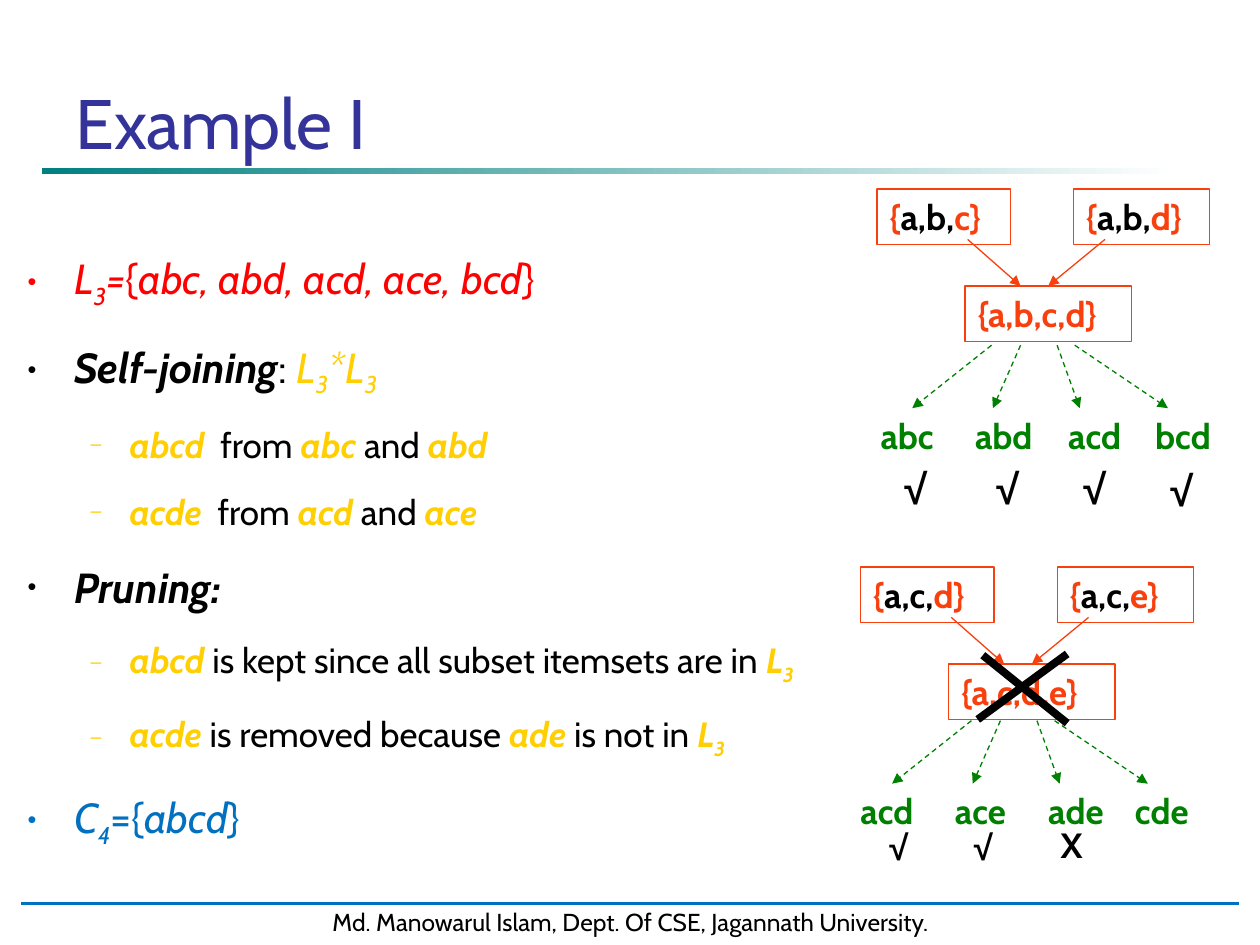
from lxml import etree
from pptx import Presentation
from pptx.dml.color import RGBColor
from pptx.enum.dml import MSO_LINE
from pptx.enum.shapes import MSO_CONNECTOR, MSO_SHAPE
from pptx.enum.text import MSO_ANCHOR, PP_ALIGN
from pptx.oxml.ns import qn
from pptx.util import Inches, Pt

RECT = MSO_SHAPE.RECTANGLE
STRAIGHT = MSO_CONNECTOR.STRAIGHT
DASH = MSO_LINE.DASH
CENTER = PP_ALIGN.CENTER
TOP = MSO_ANCHOR.TOP

BLACK = RGBColor(0x00, 0x00, 0x00)
WHITE = RGBColor(0xFF, 0xFF, 0xFF)
RED = RGBColor(0xFF, 0x00, 0x00)
GOLD = RGBColor(0xFF, 0xCF, 0x01)
BLUE = RGBColor(0x00, 0x70, 0xC0)
NAVY = RGBColor(0x33, 0x33, 0x99)
TEAL = RGBColor(0x00, 0x80, 0x80)
ORANGE = RGBColor(0xF8, 0x40, 0x0E)
GREEN = RGBColor(0x00, 0x80, 0x00)
FONT = "Cabin"

TITLE = "Example I"
FOOTER = "Md. Manowarul Islam, Dept. Of CSE, Jagannath University."

# (level, bullet colour, runs); a run is text, colour, flags: b bold, i italic, s subscript
BODY = [
    (0, RED, [("L", RED, "i"), ("3", RED, "is"), ("=", RED, "i"), ("{", RED, ""),
              ("abc, abd, acd, ace, bcd", RED, "i"), ("}", RED, "")]),
    (0, BLACK, [("Self-joining", BLACK, "bi"), (": ", BLACK, ""), ("L", GOLD, "i"),
                ("3", GOLD, "is"), ("*L", GOLD, "i"), ("3", GOLD, "is")]),
    (1, GOLD, [("abcd  ", GOLD, "bi"), ("from ", BLACK, ""), ("abc ", GOLD, "bi"),
               ("and ", BLACK, ""), ("abd", GOLD, "bi")]),
    (1, GOLD, [("acde", GOLD, "bi"), ("  from ", BLACK, ""), ("acd", GOLD, "bi"),
               (" and ", BLACK, ""), ("ace", GOLD, "bi")]),
    (0, BLACK, [("Pruning:", BLACK, "bi")]),
    (1, GOLD, [("abcd ", GOLD, "bi"), ("is kept since all subset itemsets are in ", BLACK, ""),
               ("L", GOLD, "bi"), ("3", GOLD, "bis")]),
    (1, GOLD, [("acde", GOLD, "bi"), (" is removed because ", BLACK, ""), ("ade", GOLD, "bi"),
               (" is not in ", BLACK, ""), ("L", GOLD, "bi"), ("3", GOLD, "bis")]),
    (0, BLUE, [("C", BLUE, "i"), ("4", BLUE, "is"), ("={", BLUE, ""),
               ("abcd", BLUE, "i"), ("}", BLUE, "")]),
]
# per level: size, space before, left margin, first-line indent, bullet, bullet size %
LEVELS = [(24, 8, 0.37, -0.37, "•", 60), (20, 7, 0.81, -0.31, "–", 55)]

# Joins are placed from (x, y); subsets from (leaf_x, leaf_y)
TREES = [
    dict(x=6.96, y=1.5, leaf_x=6.89, leaf_y=2.74, prefix="a,b,", ends="cd",
         joined="{a,b,c,d}", subsets=["abc", "abd", "acd", "bcd"], mark_size=24,
         marks=[("√", 7.08, 3.62), ("√", 7.81, 3.62), ("√", 8.5, 3.62), ("√", 9.19, 3.64)]),
    dict(x=6.83, y=4.5, leaf_x=6.73, leaf_y=5.72, prefix="a,c,", ends="de",
         joined="{a,c,d,e}", subsets=["acd", "ace", "ade", "cde"], mark_size=20,
         marks=[("√", 6.96, 6.5), ("√", 7.63, 6.5), ("X", 8.32, 6.49)]),
]
PARENTS = [(0, 1.06), (1.56, 1.08)]                  # dx, width
JOIN_ARROWS = [(0.72, 1.14), (1.81, 1.36)]           # dx from, dx to
LEAF_ARROWS = [(0.98, 0.35), (1.21, 0.99), (1.5, 1.68), (1.64, 2.38)]
LEAF_DX = [0, 0.75, 1.49, 2.18]
CROSS = [(7.76, 5.71, 8.47, 5.19), (7.8, 5.2, 8.47, 5.74)]

prs = Presentation()
prs.slide_width, prs.slide_height = Inches(10), Inches(7.5)
s = prs.slides.add_slide(prs.slide_layouts[6])


def add_runs(p, runs, size, font=FONT):
    for text, color, flags in runs:
        r = p.add_run()
        r.text = text
        r.font.name, r.font.size = font, Pt(size)
        r.font.color.rgb = color
        r.font.bold, r.font.italic = "b" in flags, "i" in flags
        if "s" in flags:
            r.font._element.set("baseline", "-25000")


def add_text(x, y, w, h, runs, size, font=FONT):
    sp = s.shapes.add_textbox(Inches(x), Inches(y), Inches(w), Inches(h))
    sp.text_frame.word_wrap = True
    add_runs(sp.text_frame.paragraphs[0], runs, size, font)
    return sp


def add_box(x, y, w, runs):
    """Outlined itemset box."""
    sp = add_text(x, y, w, 0.44, runs, 20)
    sp.line.color.rgb, sp.line.width = ORANGE, Pt(0.75)


def add_line(x1, y1, x2, y2, color, width=0.75, arrow=False, dash=None):
    ln = s.shapes.add_connector(STRAIGHT, Inches(x1), Inches(y1), Inches(x2), Inches(y2))
    ln.line.color.rgb, ln.line.width = color, Pt(width)
    if dash:
        ln.line.dash_style = dash
    if arrow:
        etree.SubElement(ln.line._get_or_add_ln(), qn("a:tailEnd"), type="triangle")
    etree.SubElement(ln._element.spPr, qn("a:effectLst"))


def set_bullet(p, color, level):
    _, _, margin, indent, char, percent = LEVELS[level]
    pPr = p._p.get_or_add_pPr()
    pPr.set("marL", str(Inches(margin)))
    pPr.set("indent", str(Inches(indent)))
    clr = etree.SubElement(pPr, qn("a:buClr"))
    etree.SubElement(clr, qn("a:srgbClr"), val=str(color))
    etree.SubElement(pPr, qn("a:buSzPct"), val=str(percent * 1000))
    etree.SubElement(pPr, qn("a:buFont"), typeface="Arial")
    etree.SubElement(pPr, qn("a:buChar"), char=char)


def add_body():
    tf = add_text(0.12, 1.82, 6.29, 5.59, [], 24).text_frame
    for i, (level, color, runs) in enumerate(BODY):
        p = tf.add_paragraph() if i else tf.paragraphs[0]
        size, before = LEVELS[level][:2]
        set_bullet(p, color, level)
        p.level, p.line_spacing = level, 1.3
        if i:
            p.space_before = Pt(before)
        add_runs(p, runs, size)


def add_tree(t):
    x, y, lx, ly = t["x"], t["y"], t["leaf_x"], t["leaf_y"]
    for (dx, w), end in zip(PARENTS, t["ends"]):
        add_box(x + dx, y, w, [("{", ORANGE, "b"), (t["prefix"], BLACK, "b"),
                               (end + "}", ORANGE, "b")])
    for start, stop in JOIN_ARROWS:
        add_line(x + start, y + 0.4, x + stop, y + 0.77, ORANGE, arrow=True)
    add_box(x + 0.7, y + 0.77, 1.32, [(t["joined"], ORANGE, "b")])
    for start, stop in LEAF_ARROWS:
        add_line(lx + start, ly, lx + stop, ly + 0.5, GREEN, arrow=True, dash=DASH)
    for dx, subset in zip(LEAF_DX, t["subsets"]):
        add_text(lx + dx, ly + 0.5, 0.8, 0.44, [(subset, GREEN, "b")], 20)
    for mark, mx, my in t["marks"]:
        font = FONT if mark == "X" else "Arial"
        add_text(mx, my, 0.38, 0.44, [(mark, BLACK, "b")], t["mark_size"], font)


rule = s.shapes.add_shape(RECT, Inches(0.33), Inches(1.33), Inches(9), Inches(0.05))
rule.shadow.inherit = False
rule.line.fill.background()
rule.fill.gradient()
rule.fill.gradient_angle = 0
for stop, color in zip(rule.fill.gradient_stops, (TEAL, WHITE)):
    stop.color.rgb = color

footer = add_text(0.17, 7.15, 9.67, 0.33, [(FOOTER, BLACK, "")], 14)
footer.text_frame.paragraphs[0].alignment = CENTER
add_line(0.17, 7.17, 9.83, 7.17, BLUE, 1.75)

add_body()
title = add_text(0.5, 0.58, 9, 1.08, [(TITLE, NAVY, "")], 40)
title.text_frame.vertical_anchor = TOP
for tree in TREES:
    add_tree(tree)
for stroke in CROSS:
    add_line(*stroke, BLACK, 4.5)

prs.save("out.pptx")
